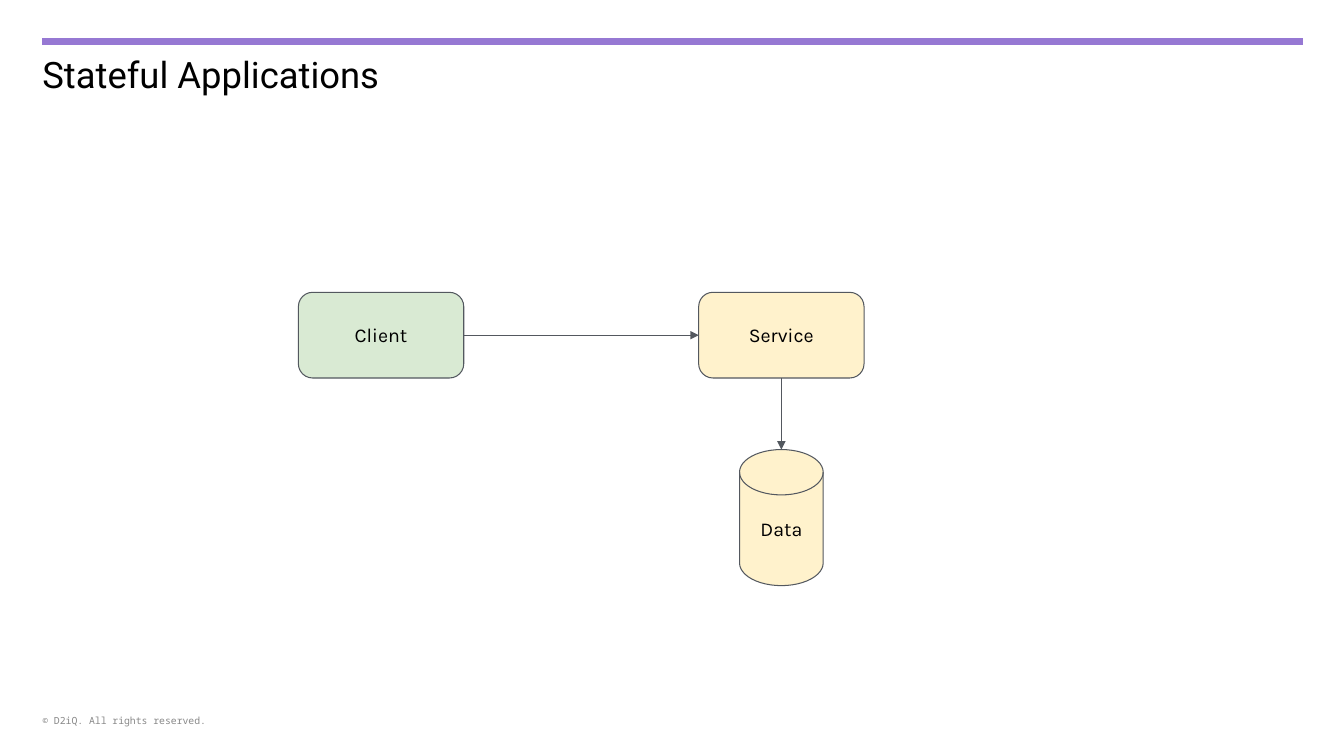
from lxml import etree
from pptx import Presentation
from pptx.dml.color import RGBColor
from pptx.enum.shapes import MSO_CONNECTOR, MSO_SHAPE
from pptx.enum.text import MSO_ANCHOR, PP_ALIGN
from pptx.oxml.ns import qn
from pptx.util import Inches, Pt

ROUNDED = MSO_SHAPE.ROUNDED_RECTANGLE
DISK = MSO_SHAPE.FLOWCHART_MAGNETIC_DISK
STRAIGHT, CURVE = MSO_CONNECTOR.STRAIGHT, MSO_CONNECTOR.CURVE
TOP, MIDDLE = MSO_ANCHOR.TOP, MSO_ANCHOR.MIDDLE
LEFT, CENTER = PP_ALIGN.LEFT, PP_ALIGN.CENTER
LEFT_SIDE, BOTTOM_SIDE, RIGHT_SIDE = 1, 2, 3

BLACK, GREY, SLATE, PURPLE = "000000", "888888", "53585F", "9678D3"
GREEN, YELLOW = "D9EAD3", "FFF2CC"


def color(value):
    return RGBColor.from_string(value)


class Diagram:
    """Holds the style and the current slide."""

    title_font = {"name": "Roboto", "size": Pt(26), "bold": False}
    label_font = {"name": "Karla", "size": Pt(14)}
    footer_font = {"name": "Noto Sans Mono", "size": Pt(7)}
    line_width = 0.75

    def __init__(self, page):
        self.page = page

    def set_text(self, box, text, font, ink=BLACK, align=LEFT, anchor=MIDDLE, margins=(0, 0)):
        """Fill a box with one paragraph; margins are horizontal and vertical."""
        frame = box.text_frame
        across, down = map(Inches, margins)
        settings = {
            "word_wrap": True, "vertical_anchor": anchor,
            "margin_left": across, "margin_right": across,
            "margin_top": down, "margin_bottom": down,
        }
        for name, value in settings.items():
            setattr(frame, name, value)
        para = frame.paragraphs[0]
        para.alignment = align
        span = para.add_run()
        span.text = text
        for name, value in font.items():
            setattr(span.font, name, value)
        span.font.color.rgb = color(ink)

    def title(self, text, left, top, width, height):
        box = self.page.shapes.title
        place = {"left": left, "top": top, "width": width, "height": height}
        for name, value in place.items():
            setattr(box, name, Inches(value))
        self.set_text(box, text, self.title_font, anchor=TOP)

    def footer(self, text, *place):
        box = self.page.shapes.add_textbox(*map(Inches, place))
        self.set_text(box, text, self.footer_font, GREY, margins=(0, 0.05))

    def node(self, kind, text, fill, *place):
        shape = self.page.shapes.add_shape(kind, *map(Inches, place))
        shape.shadow.inherit = False
        shape.fill.solid()
        shape.fill.fore_color.rgb = color(fill)
        shape.line.color.rgb = color(SLATE)
        shape.line.width = Pt(self.line_width)
        self.set_text(shape, text, self.label_font, align=CENTER, margins=(0.1, 0.1))
        return shape

    def line(self, kind, start, end, ink, width):
        connector = self.page.shapes.add_connector(kind, *map(Inches, start + end))
        connector.line.color.rgb = color(ink)
        connector.line.width = Pt(width)
        etree.SubElement(connector.element.spPr, qn("a:effectLst"))
        return connector

    def arrow(self, kind, start, end):
        connector = self.line(kind, start, end, SLATE, self.line_width)
        outline = connector.element.spPr.find(qn("a:ln"))
        etree.SubElement(outline, qn("a:tailEnd"), type="triangle")
        return connector


def main():
    deck = Presentation()
    deck.slide_width, deck.slide_height = Inches(13.33), Inches(7.5)
    title_only = deck.slide_layouts[5]
    diagram = Diagram(deck.slides.add_slide(title_only))

    margin = 0.42
    diagram.line(STRAIGHT, (margin, 0.41), (12.92, 0.41), PURPLE, 5)
    diagram.title("Stateful Applications", margin, 0.52, 11.83, 0.55)

    node_width, node_height, node_top = 1.64, 0.85, 2.9
    client_left, service_left = 2.96, 6.93
    disk_width, disk_top = 0.83, 4.46
    row_middle = node_top + node_height / 2
    service_middle = service_left + node_width / 2

    service = diagram.node(ROUNDED, "Service", YELLOW,
                           service_left, node_top, node_width, node_height)
    client = diagram.node(ROUNDED, "Client", GREEN,
                          client_left, node_top, node_width, node_height)
    diagram.node(DISK, "Data", YELLOW,
                 service_middle - disk_width / 2, disk_top, disk_width, 1.35)

    store = diagram.arrow(STRAIGHT, (service_middle, node_top + node_height),
                          (service_middle, disk_top))
    store.begin_connect(service, BOTTOM_SIDE)
    request = diagram.arrow(CURVE, (client_left + node_width, row_middle),
                            (service_left, row_middle))
    request.begin_connect(client, RIGHT_SIDE)
    request.end_connect(service, LEFT_SIDE)

    diagram.footer("© D2iQ. All rights reserved.", margin, 7.02, 1.83, 0.26)
    deck.save("out.pptx")


if __name__ == "__main__":
    main()
